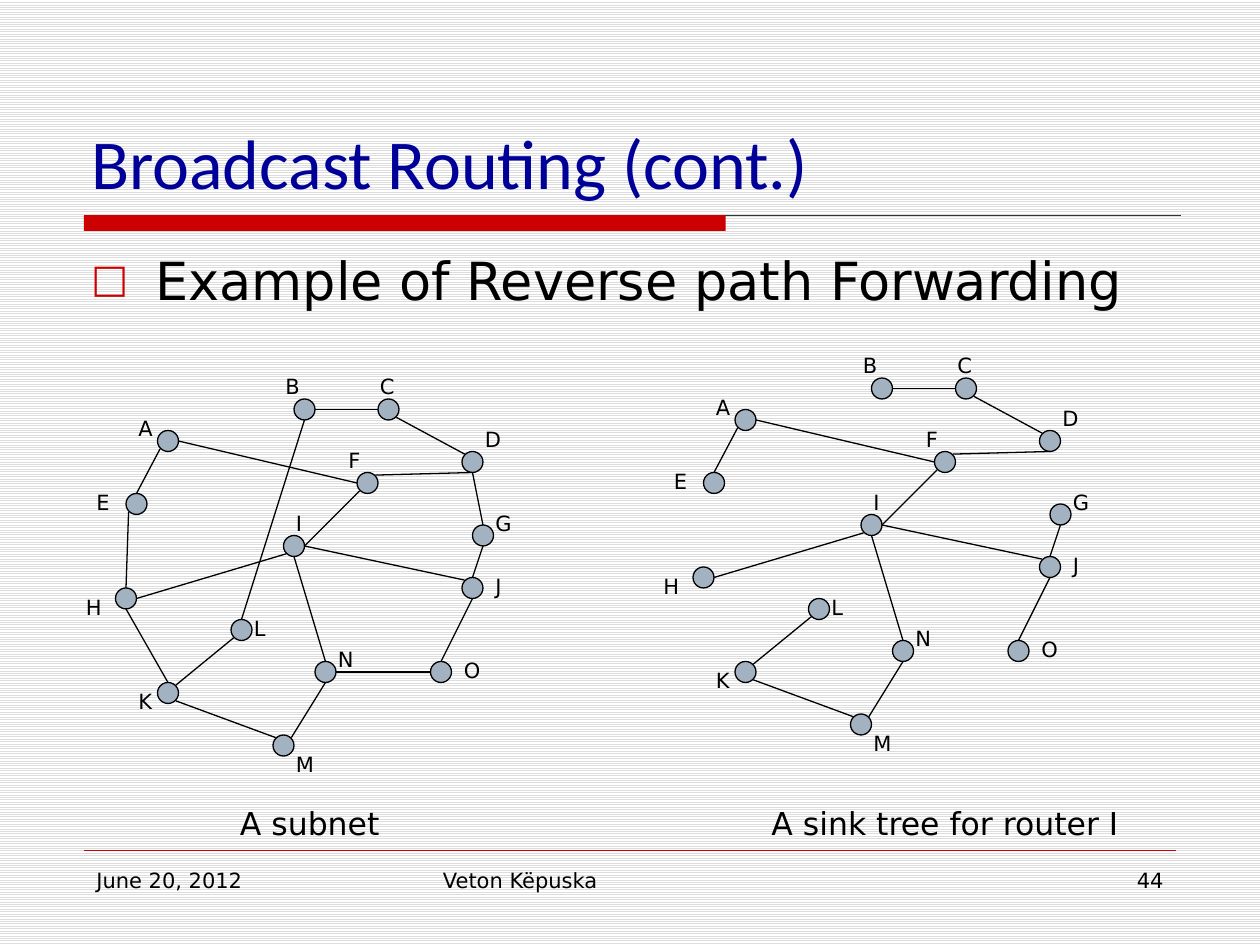
from typing import NamedTuple

from lxml import etree
from pptx import Presentation
from pptx.dml.color import RGBColor
from pptx.enum.dml import MSO_PATTERN
from pptx.enum.shapes import MSO_CONNECTOR, MSO_SHAPE
from pptx.enum.text import MSO_ANCHOR, PP_ALIGN
from pptx.oxml.ns import qn
from pptx.util import Emu, Pt

LIGHT_HORIZONTAL = MSO_PATTERN.LIGHT_HORIZONTAL
STRAIGHT = MSO_CONNECTOR.STRAIGHT
OVAL, RECTANGLE = MSO_SHAPE.OVAL, MSO_SHAPE.RECTANGLE
TOP, BOTTOM = MSO_ANCHOR.TOP, MSO_ANCHOR.BOTTOM
LEFT, CENTER, RIGHT = PP_ALIGN.LEFT, PP_ALIGN.CENTER, PP_ALIGN.RIGHT

BLACK = RGBColor(0x00, 0x00, 0x00)
WHITE = RGBColor(0xFF, 0xFF, 0xFF)
STRIPE = RGBColor(0xDD, 0xDD, 0xDD)
RED = RGBColor(0xCC, 0x00, 0x00)
NAVY = RGBColor(0x00, 0x00, 0x99)
DARK_GREY = RGBColor(0x33, 0x33, 0x33)
NODE_FILL = RGBColor(0xA3, 0xB2, 0xC1)

BODY_FONT = "DejaVu Sans"
TITLE_FONT = "Calibri"
EMU_PER_PX = 9525
NODE_SIZE = 16
LABEL_SIZE = (32, 29)

# Points on a router's circle, measured from its top left corner
ANCHORS = {
    "top": (8, 0), "bottom": (8, 16), "left": (0, 8), "right": (16, 8),
    "top left": (2, 2), "top right": (14, 2),
    "bottom left": (2, 14), "bottom right": (14, 14),
}


class Router(NamedTuple):
    name: str
    left: int
    top: int
    label_dx: int
    label_dy: int


class Link(NamedTuple):
    start: str
    start_anchor: str
    end: str
    end_anchor: str
    in_sink_tree: bool = True


class Graph(NamedTuple):
    dx: int
    dy: int
    links: list[Link]


class Caption(NamedTuple):
    text: str
    left: int
    width: int


class FooterItem(NamedTuple):
    text: str
    left: int
    width: int
    align: PP_ALIGN = LEFT


ROUTERS = [
    Router("A", 120, 328, -24, -16),
    Router("B", 224, 304, -16, -24),
    Router("C", 288, 304, -8, -24),
    Router("D", 352, 344, 8, -24),
    Router("E", 96, 376, -32, -8),
    Router("F", 272, 360, -16, -24),
    Router("G", 360, 400, 8, -16),
    Router("H", 88, 448, -32, 0),
    Router("I", 216, 408, 0, -24),
    Router("J", 352, 440, 16, -8),
    Router("K", 120, 520, -24, 0),
    Router("L", 176, 472, 8, -8),
    Router("M", 208, 560, 8, 8),
    Router("N", 240, 504, 8, -16),
    Router("O", 328, 504, 16, -8),
]
LINKS = [
    Link("A", "right", "F", "left"),
    Link("A", "bottom left", "E", "top"),
    Link("H", "top", "E", "bottom left", False),
    Link("H", "bottom", "K", "top", False),
    Link("K", "bottom right", "M", "top left"),
    Link("N", "bottom", "M", "top right"),
    Link("N", "right", "O", "left", False),
    Link("J", "bottom", "O", "top"),
    Link("G", "bottom", "J", "top"),
    Link("D", "bottom", "G", "top", False),
    Link("C", "bottom right", "D", "top left"),
    Link("C", "left", "B", "right"),
    Link("L", "top", "B", "bottom", False),
    Link("L", "bottom left", "K", "top right"),
    Link("I", "bottom", "N", "top"),
    Link("H", "right", "I", "bottom left"),
    Link("I", "right", "J", "top left"),
    Link("I", "right", "F", "bottom left"),
    Link("F", "top right", "D", "bottom"),
]
GRAPHS = [
    Graph(0, 0, LINKS),
    Graph(440, -16, [link for link in LINKS if link.in_sink_tree]),
]
CAPTIONS = [
    Caption("A subnet", 128, 216),
    Caption("A sink tree for router I", 560, 320),
]
FOOTER = [
    FooterItem("June 20, 2012", 64, 208),
    FooterItem("Veton Këpuska", 328, 304),
    FooterItem("44", 688, 208, RIGHT),
]


def px(length: int) -> Emu:
    return Emu(length * EMU_PER_PX)


def add_text(slide, text: str, left: int, top: int, width: int, height: int, *,
             size: int = 12, font: str = BODY_FONT, color: RGBColor = BLACK,
             align: PP_ALIGN = LEFT, anchor: MSO_ANCHOR = TOP):
    """Add a one-paragraph text box and return the paragraph."""
    box = slide.shapes.add_textbox(px(left), px(top), px(width), px(height))
    frame = box.text_frame
    frame.word_wrap = True
    frame.vertical_anchor = anchor
    paragraph = frame.paragraphs[0]
    paragraph.alignment = align
    run = paragraph.add_run()
    run.text = text
    run.font.size = Pt(size)
    run.font.name = font
    run.font.color.rgb = color
    return paragraph


def add_square_bullet(paragraph, indent: int) -> None:
    properties = paragraph._p.get_or_add_pPr()
    properties.set("marL", str(px(indent)))
    properties.set("indent", str(px(-indent)))
    bullet_color = etree.SubElement(properties, qn("a:buClr"))
    etree.SubElement(bullet_color, qn("a:srgbClr"), val=str(RED))
    etree.SubElement(properties, qn("a:buSzPct"), val="75000")
    etree.SubElement(properties, qn("a:buFont"), typeface=BODY_FONT)
    etree.SubElement(properties, qn("a:buChar"), char="□")


def add_line(slide, start: tuple[int, int], end: tuple[int, int],
             color: RGBColor = BLACK, width: float = 0.75) -> None:
    points = [px(value) for value in (*start, *end)]
    connector = slide.shapes.add_connector(STRAIGHT, *points)
    connector.line.color.rgb = color
    connector.line.width = Pt(width)
    etree.SubElement(connector._element.spPr, qn("a:effectLst"))


def add_filled_shape(slide, kind: MSO_SHAPE, left: int, top: int,
                     width: int, height: int, fill: RGBColor):
    shape = slide.shapes.add_shape(kind, px(left), px(top), px(width), px(height))
    shape.shadow.inherit = False
    shape.fill.solid()
    shape.fill.fore_color.rgb = fill
    return shape


def draw_graph(slide, graph: Graph) -> None:
    corners = {router.name: (router.left + graph.dx, router.top + graph.dy)
               for router in ROUTERS}

    def anchor_point(name: str, anchor: str) -> tuple[int, int]:
        (left, top), (dx, dy) = corners[name], ANCHORS[anchor]
        return left + dx, top + dy

    for left, top in corners.values():
        node = add_filled_shape(slide, OVAL, left, top, NODE_SIZE, NODE_SIZE, NODE_FILL)
        node.line.color.rgb = BLACK
        node.line.width = Pt(0.75)
    for link in graph.links:
        add_line(slide, anchor_point(link.start, link.start_anchor),
                 anchor_point(link.end, link.end_anchor))
    for router in ROUTERS:
        left, top = corners[router.name]
        add_text(slide, router.name, left + router.label_dx, top + router.label_dy,
                 *LABEL_SIZE)


def main() -> None:
    presentation = Presentation()
    presentation.slide_width, presentation.slide_height = px(960), px(720)
    slide = presentation.slides.add_slide(presentation.slide_layouts[6])
    background = slide.background.fill
    background.patterned()
    background.pattern = LIGHT_HORIZONTAL
    background.fore_color.rgb = STRIPE
    background.back_color.rgb = WHITE

    add_line(slide, (64, 164), (900, 164), DARK_GREY)
    title_bar = add_filled_shape(slide, RECTANGLE, 64, 164, 489, 12, RED)
    title_bar.line.fill.background()
    add_line(slide, (64, 648), (896, 648), RED, 0.25)
    for item in FOOTER:
        add_text(slide, item.text, item.left, 656, item.width, 50, align=item.align)

    add_text(slide, "Broadcast Routing (cont.)", 60, 32, 840, 128,
             size=40, font=TITLE_FONT, color=NAVY, anchor=BOTTOM)
    body = add_text(slide, "Example of Reverse path Forwarding", 60, 184, 840, 448, size=30)
    add_square_bullet(body, 49)

    for graph in GRAPHS:
        draw_graph(slide, graph)
    for caption in CAPTIONS:
        add_text(slide, caption.text, caption.left, 608, caption.width, 38,
                 size=18, align=CENTER)
    presentation.save("out.pptx")


if __name__ == "__main__":
    main()
